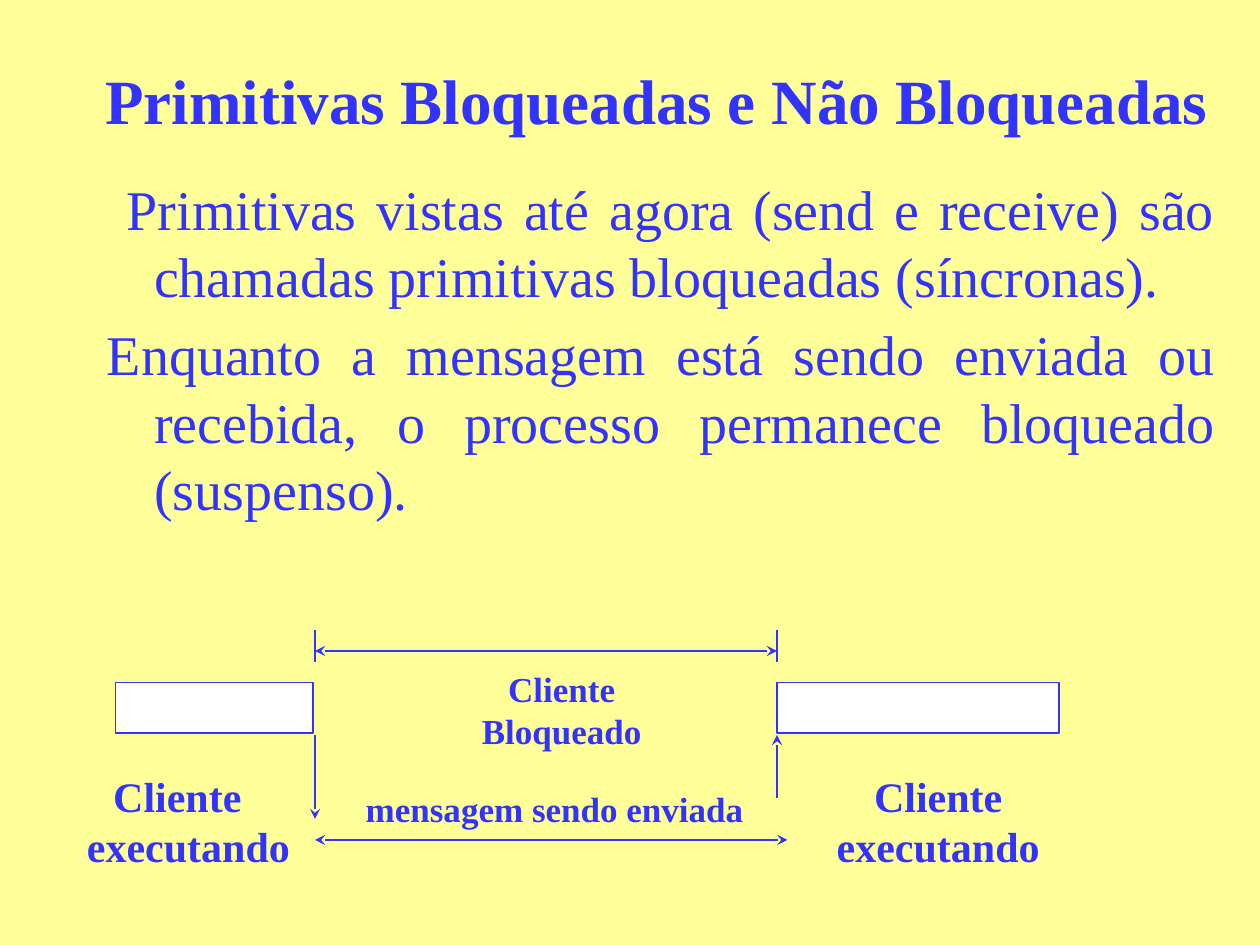
from pptx import Presentation
from pptx.dml.color import RGBColor
from pptx.enum.shapes import MSO_CONNECTOR, MSO_SHAPE
from pptx.enum.text import MSO_ANCHOR, MSO_AUTO_SIZE, PP_ALIGN
from pptx.oxml.ns import qn
from pptx.util import Emu, Pt
from lxml.etree import SubElement

BLUE = RGBColor(0x33, 0x33, 0xFF)
YELLOW = RGBColor(0xFF, 0xFF, 0x99)
WHITE = RGBColor(0xFF, 0xFF, 0xFF)
FONT = "Times New Roman"
EMU_PER_PX = 7620  # 120 px to the inch


def px(length):
    return Emu(length * EMU_PER_PX)


class DiagramSlide:
    """Holds the style and the current slide."""

    def __init__(self, prs):
        self.slide = prs.slides.add_slide(prs.slide_layouts[5])
        self.slide.background.fill.solid()
        self.slide.background.fill.fore_color.rgb = YELLOW

    def style(self, paragraph, size, bold, align):
        paragraph.alignment = align
        for run in paragraph.runs:
            run.font.name = FONT
            run.font.size = Pt(size)
            run.font.bold = bold
            run.font.color.rgb = BLUE

    def title(self, text, x, y, w, h):
        heading = self.slide.shapes.title
        heading.left, heading.top, heading.width, heading.height = map(px, (x, y, w, h))
        frame = heading.text_frame
        frame.text = text
        frame.auto_size = MSO_AUTO_SIZE.NONE
        frame.vertical_anchor = MSO_ANCHOR.MIDDLE
        self.style(frame.paragraphs[0], 36, True, PP_ALIGN.CENTER)

    def text(self, text, x, y, w, h, size, bold=True, align=PP_ALIGN.CENTER):
        frame = self.slide.shapes.add_textbox(*map(px, (x, y, w, h))).text_frame
        frame.word_wrap = True
        frame.text = text
        for paragraph in frame.paragraphs:
            self.style(paragraph, size, bold, align)
        return frame.paragraphs

    def indent(self, paragraph, left, first=0):
        properties = paragraph._p.get_or_add_pPr()
        properties.set("marL", str(px(left)))
        properties.set("indent", str(px(first)))

    def bar(self, x, y, w, h):
        box = self.slide.shapes.add_shape(MSO_SHAPE.RECTANGLE, *map(px, (x, y, w, h)))
        box.shadow.inherit = False
        box.fill.solid()
        box.fill.fore_color.rgb = WHITE
        box.line.color.rgb = BLUE
        box.line.width = Pt(1)

    def line(self, x1, y1, x2, y2, arrows=()):
        """arrows: "headEnd" at the start, "tailEnd" at the end."""
        connector = self.slide.shapes.add_connector(
            MSO_CONNECTOR.STRAIGHT, *map(px, (x1, y1, x2, y2)))
        connector.line.color.rgb = BLUE
        connector.line.width = Pt(1)
        outline = connector.line._get_or_add_ln()
        for end in arrows:
            SubElement(outline, qn(f"a:{end}"), type="stealth")
        SubElement(connector._element.spPr, qn("a:effectLst"))


def main():
    prs = Presentation()
    prs.slide_width, prs.slide_height = px(1200), px(900)
    page = DiagramSlide(prs)

    # Title and explanation
    page.title("Primitivas Bloqueadas e Não Bloqueadas", 80, 20, 1091, 150)
    explanation = page.text(
        " Primitivas vistas até agora (send e receive) são chamadas primitivas"
        " bloqueadas (síncronas).\n"
        "Enquanto a mensagem está sendo enviada ou recebida, o processo permanece"
        " bloqueado (suspenso).",
        90, 160, 1080, 360, 32, False, PP_ALIGN.JUSTIFY)
    for paragraph in explanation:
        page.indent(paragraph, 45, -45)
        paragraph.space_before = Pt(6.4)

    # Client running before and after the block
    blocked, resumed = 300, 740
    page.bar(110, 650, 188, 48)
    page.bar(resumed, 650, 269, 48)

    # Blocked interval
    both = ("headEnd", "tailEnd")
    for moment in (blocked, resumed):
        page.line(moment, 600, moment, 630)
    page.line(blocked, 620, resumed, 620, both)

    # Message being sent
    page.line(blocked, 700, blocked, 780, ("tailEnd",))
    page.line(blocked, 800, 750, 800, both)
    page.line(resumed, 760, resumed, 700, ("tailEnd",))

    # Labels
    page.text("mensagem sendo enviada", 330, 744, 390, 52, 20, align=PP_ALIGN.RIGHT)
    page.text("Cliente\nBloqueado", 380, 630, 310, 92, 20)
    before = page.text("Cliente\nexecutando", 71, 728, 225, 108, 24, align=PP_ALIGN.LEFT)
    page.indent(before[0], 25)
    page.text("Cliente\nexecutando", 785, 728, 217, 108, 24)

    prs.save("out.pptx")


if __name__ == "__main__":
    main()
